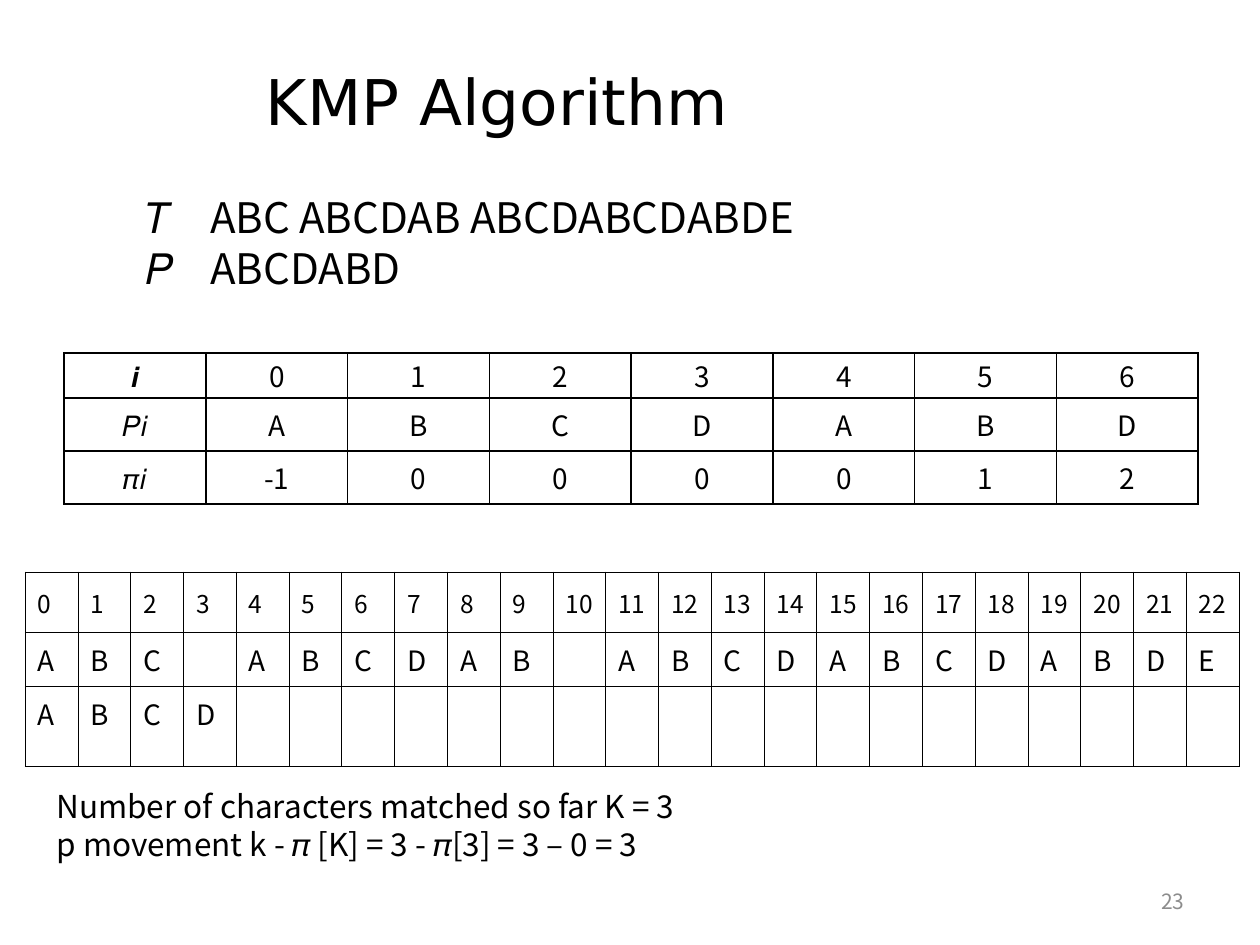
import lxml.etree
import pptx
import pptx.dml.color
import pptx.enum.text
import pptx.oxml.ns
import pptx.util

Inches = pptx.util.Inches
Align = pptx.enum.text.PP_ALIGN
Anchor = pptx.enum.text.MSO_ANCHOR
BODY_FONT = "Noto Sans CJK KR"

PREFIX_ROWS = [
    ["𝒊", *map(str, range(7))],
    ["𝑃𝑖", *"ABCDABD"],
    ["𝜋𝑖", "-1", "0", "0", "0", "0", "1", "2"],
]
MATCH_ROWS = [
    list(map(str, range(23))),
    list("ABC ABCDAB ABCDABCDABDE"),
    list("ABCD".ljust(23)),
]


def rgb(value):
    """Turn a hex string into a colour."""
    return pptx.dml.color.RGBColor.from_string(value)


def set_values(target, values):
    """Set each named attribute of the target."""
    for name, value in values.items():
        setattr(target, name, value)


def add_child(parent, tag, **attributes):
    """Append a drawing element to the parent."""
    return lxml.etree.SubElement(parent, pptx.oxml.ns.qn(tag), attributes)


def write_span(para, text, size, font=BODY_FONT, color="000000"):
    """Add one formatted run to a paragraph."""
    span = para.add_run()
    span.text = text
    set_values(span.font, {"name": font, "size": pptx.util.Pt(size), "bold": False})
    span.font.color.rgb = rgb(color)


def add_title(page, text):
    """Place the title in its placeholder."""
    title = page.shapes.title
    set_values(title, {"left": Inches(2.01), "top": Inches(0.29),
                       "width": Inches(7.06), "height": Inches(1.01)})
    set_values(title.text_frame, {"vertical_anchor": Anchor.MIDDLE, "word_wrap": True})
    para = title.text_frame.paragraphs[0]
    para.alignment = Align.LEFT
    write_span(para, text, 36, "DejaVu Sans")


def add_text(page, place, lines, size, pitch=None, tab=None, align=Align.LEFT,
             anchor=Anchor.MIDDLE, color="000000"):
    """Add a text box with one paragraph per line."""
    box = page.shapes.add_textbox(*map(Inches, place))
    frame = box.text_frame
    set_values(frame, {"word_wrap": True, "vertical_anchor": anchor})
    for index, line in enumerate(lines):
        para = frame.add_paragraph() if index else frame.paragraphs[0]
        para.alignment = align
        if pitch:
            para.line_spacing = pptx.util.Pt(pitch)
        if tab:
            stops = add_child(para._p.get_or_add_pPr(), "a:tabLst")
            add_child(stops, "a:tab", pos=str(Inches(tab)), algn="l")
        write_span(para, line, size, color=color)


def add_borders(cell, width):
    """Draw a black line on all four sides of a cell."""
    properties = cell._tc.get_or_add_tcPr()
    for side in ("a:lnL", "a:lnR", "a:lnT", "a:lnB"):
        line = add_child(properties, side, w=str(pptx.util.Pt(width)))
        add_child(add_child(line, "a:solidFill"), "a:srgbClr", val="000000")


def add_grid(page, place, rows, heights, sizes, anchors, margins, align, border):
    """Add a bordered table with equal columns."""
    left, top, width = place
    count = len(rows[0])
    frame = page.shapes.add_table(len(rows), count, Inches(left), Inches(top),
                                  Inches(width), Inches(sum(heights)))
    table = frame.table
    set_values(table, {"first_row": False, "horz_banding": False})
    for column in table.columns:
        column.width = Inches(width / count)
    sides = ("margin_left", "margin_top", "margin_right", "margin_bottom")
    inset = dict(zip(sides, map(Inches, margins)))
    for row, texts, height, size, anchor in zip(table.rows, rows, heights, sizes, anchors):
        row.height = Inches(height)
        for cell, text in zip(row.cells, texts):
            set_values(cell, {**inset, "vertical_anchor": anchor})
            add_borders(cell, border)
            cell.fill.background()
            para = cell.text_frame.paragraphs[0]
            para.alignment = align
            if text.strip():
                write_span(para, text, size)


def main():
    """Build the slide and save it."""
    deck = pptx.Presentation()
    set_values(deck, {"slide_width": Inches(10), "slide_height": Inches(7.5)})
    page = deck.slides.add_slide(deck.slide_layouts[5])
    add_title(page, "KMP Algorithm")
    add_text(page, (1.06, 1.47, 7.24, 1.11),
             ["𝑇\tABC ABCDAB ABCDABCDABDE", "𝑃\tABCDABD"],
             24, pitch=29, tab=0.51, anchor=Anchor.TOP)
    add_grid(page, (0.51, 2.8, 9), PREFIX_ROWS, (0.36, 0.42, 0.42), (16, 16, 16),
             [Anchor.MIDDLE] * 3, (0.08, 0.02, 0.08, 0.02), Align.CENTER, 1)
    add_grid(page, (0.2, 4.54, 9.64), MATCH_ROWS, (0.48, 0.43, 0.63), (14, 16, 16),
             (Anchor.MIDDLE, Anchor.MIDDLE, Anchor.TOP), (0.1, 0.05, 0.05, 0.05),
             Align.LEFT, 0.56)
    add_text(page, (0.35, 6.19, 5.59, 0.71),
             ["Number of characters matched so far K = 3",
              "p movement k - 𝜋 [K] = 3 - 𝜋[3] = 3 – 0 = 3"], 18, pitch=21.7)
    add_text(page, (7.17, 6.95, 2.33, 0.4), ["23"], 12, align=Align.RIGHT, color="8C8C8C")
    deck.save("out.pptx")


if __name__ == "__main__":
    main()
